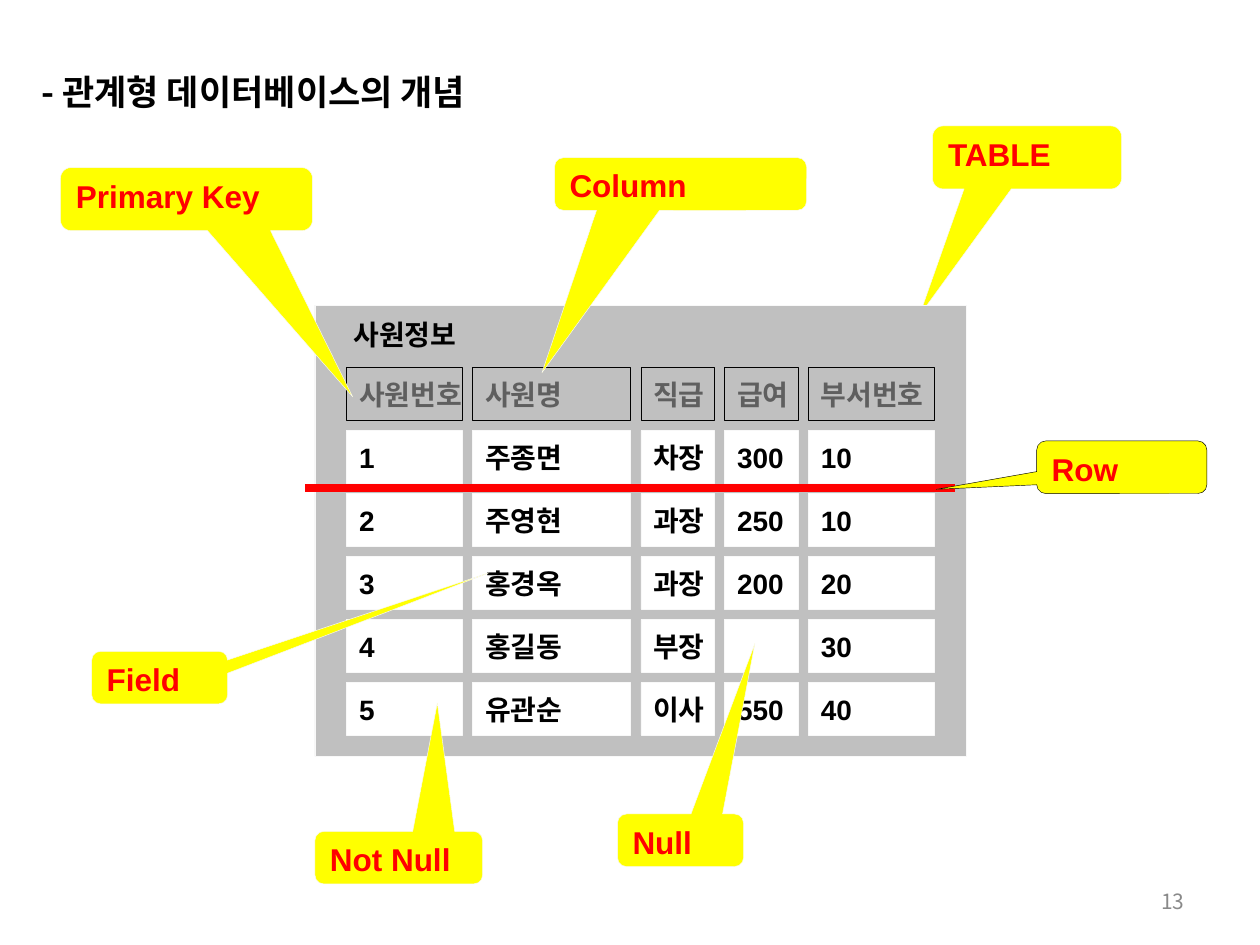
import pptx
import pptx.util
import pptx.dml.color
import pptx.enum.shapes
import pptx.enum.text
import pptx.oxml.ns
from lxml import etree

Cm, Pt = pptx.util.Cm, pptx.util.Pt
KIND = pptx.enum.shapes.MSO_SHAPE
ANCHOR = pptx.enum.text.MSO_ANCHOR
ALIGN = pptx.enum.text.PP_ALIGN
qn = pptx.oxml.ns.qn

COLORS = {
    "black": "000000", "white": "FFFFFF", "pale": "F8F8F8", "gray": "C0C0C0",
    "head": "5F5F5F", "page": "898989", "yellow": "FFFF00", "red": "FF0000",
}
LATIN, KOREAN = "Arial", "Noto Sans CJK KR"

# Employee table: column widths, gap, row height (cm) and contents
WIDTHS = [2.33, 3.18, 1.48, 1.48, 2.54]
LEFT, TOP, GAP, HIGH = 6.99, 7.41, 0.21, 1.06
HEADS = ["사원번호", "사원명", "직급", "급여", "부서번호"]
ROWS = [
    ["1", "주종면", "차장", "300", "10"],
    ["2", "주영현", "과장", "250", "10"],
    ["3", "홍경옥", "과장", "200", "20"],
    ["4", "홍길동", "부장", "", "30"],
    ["5", "유관순", "이사", "550", "40"],
]

# Label, box (left, top, width, height in cm), tip offset from the centre
NOTES = [
    ("Null", (12.45, 16.41, 2.54, 1.06), (0.59, -3.74)),
    ("Field", (1.85, 13.13, 2.74, 1.06), (2.42, -1.99)),
    ("Column", (11.18, 3.18, 5.08, 1.06), (-0.55, 3.59)),
    ("Primary Key", (1.22, 3.38, 5.08, 1.27), (0.66, 3.14)),
    ("Not Null", (6.35, 16.76, 3.38, 1.06), (0.23, -2.94)),
]


def color(name):
    return pptx.dml.color.RGBColor.from_string(COLORS[name])


class Board:
    """Current slide, and the shape tree or group that is being filled."""

    def __init__(self, slide):
        self.slide = slide
        self.spot = slide.shapes

    def group(self):
        self.spot = self.slide.shapes.add_group_shape().shapes

    def leave(self):
        """Go back from a group to the slide itself."""
        self.spot = self.slide.shapes

    def letter(self, shape, text, size, ink, font=LATIN, bold=True,
               anchor=ANCHOR.TOP, align=ALIGN.LEFT, wrap=True):
        """Put styled text into a shape."""
        frame = shape.text_frame
        frame.word_wrap = wrap
        frame.auto_size = pptx.enum.text.MSO_AUTO_SIZE.NONE
        frame.vertical_anchor = anchor
        frame.text = text
        para = frame.paragraphs[0]
        para.alignment = align
        para.font.size = Pt(size)
        para.font.bold = bold
        para.font.color.rgb = color(ink)
        para.font.name = font
        latin = para._p.pPr.find(".//" + qn("a:latin"))
        latin.addnext(latin.makeelement(qn("a:ea"), {"typeface": KOREAN}))

    def title(self, text, box):
        shape = self.slide.shapes.title
        shape.left, shape.top, shape.width, shape.height = map(Cm, box)
        self.letter(shape, text, 20, "black", KOREAN)

    def label(self, text, box, size, ink, **style):
        shape = self.spot.add_textbox(*map(Cm, box))
        self.letter(shape, text, size, ink, **style)

    def shape(self, kind, box, fill, edge):
        shape = self.spot.add_shape(kind, *map(Cm, box))
        shape.shadow.inherit = False
        shape.fill.solid()
        shape.fill.fore_color.rgb = color(fill)
        shape.line.color.rgb = color(edge)
        shape.line.width = Pt(0.25)
        return shape

    def cell(self, text, box, head):
        fill, edge, ink = (("gray", "black", "head") if head
                           else ("white", "pale", "black"))
        shape = self.shape(KIND.RECTANGLE, box, fill, edge)
        if head:
            tone = shape._element.spPr.find(
                qn("a:solidFill") + "/" + qn("a:srgbClr"))
            etree.SubElement(tone, qn("a:alpha"), val="50000")
        if text:
            self.letter(shape, text, 16, ink, anchor=ANCHOR.MIDDLE, wrap=False)

    def grid(self, rows):
        """Draw rows of cells, the first row as the header."""
        for i, row in enumerate(rows):
            left = LEFT
            for text, width in zip(row, WIDTHS):
                top = TOP + i * (HIGH + GAP)
                self.cell(text, (left, top, width, HIGH), i == 0)
                left += width + GAP

    def note(self, text, box, tip, edge="pale"):
        shape = self.shape(KIND.ROUNDED_RECTANGULAR_CALLOUT, box,
                           "yellow", edge)
        shape.adjustments[0], shape.adjustments[1] = tip
        shape.adjustments[2] = 0.17
        self.letter(shape, text, 18, "red")

    def line(self, start, end, ink, width):
        line = self.spot.add_connector(
            pptx.enum.shapes.MSO_CONNECTOR.STRAIGHT,
            *map(Cm, start + end))
        line.line.color.rgb = color(ink)
        line.line.width = Pt(width)
        etree.SubElement(line._element.spPr, qn("a:effectLst"))


def main():
    deck = pptx.Presentation()
    deck.slide_width, deck.slide_height = Cm(25.4), Cm(19.05)
    board = Board(deck.slides.add_slide(deck.slide_layouts[5]))

    board.title("- 관계형 데이터베이스의 개념", (0.58, 1.3, 10.74, 1.12))
    board.label("13", (18.21, 17.65, 5.92, 1.02), 12, "page", font=KOREAN,
                bold=False, anchor=ANCHOR.MIDDLE, align=ALIGN.RIGHT)
    board.note("TABLE", (18.8, 2.54, 3.81, 1.27), (-0.57, 2.51))

    board.group()
    board.shape(KIND.RECTANGLE, (6.35, 6.15, 13.13, 9.1), "gray", "pale")
    board.grid([HEADS] + ROWS)
    board.label("사원정보", (6.88, 6.27, 2.74, 0.94), 16, "black", wrap=False)

    board.group()
    board.line((6.15, 9.83), (19.25, 9.83), "red", 4.5)
    board.note("Row", (20.9, 8.89, 3.43, 1.06), (-1.09, 0.42), "black")

    board.leave()
    for note in NOTES:
        board.note(*note)
    deck.save("out.pptx")


if __name__ == "__main__":
    main()
